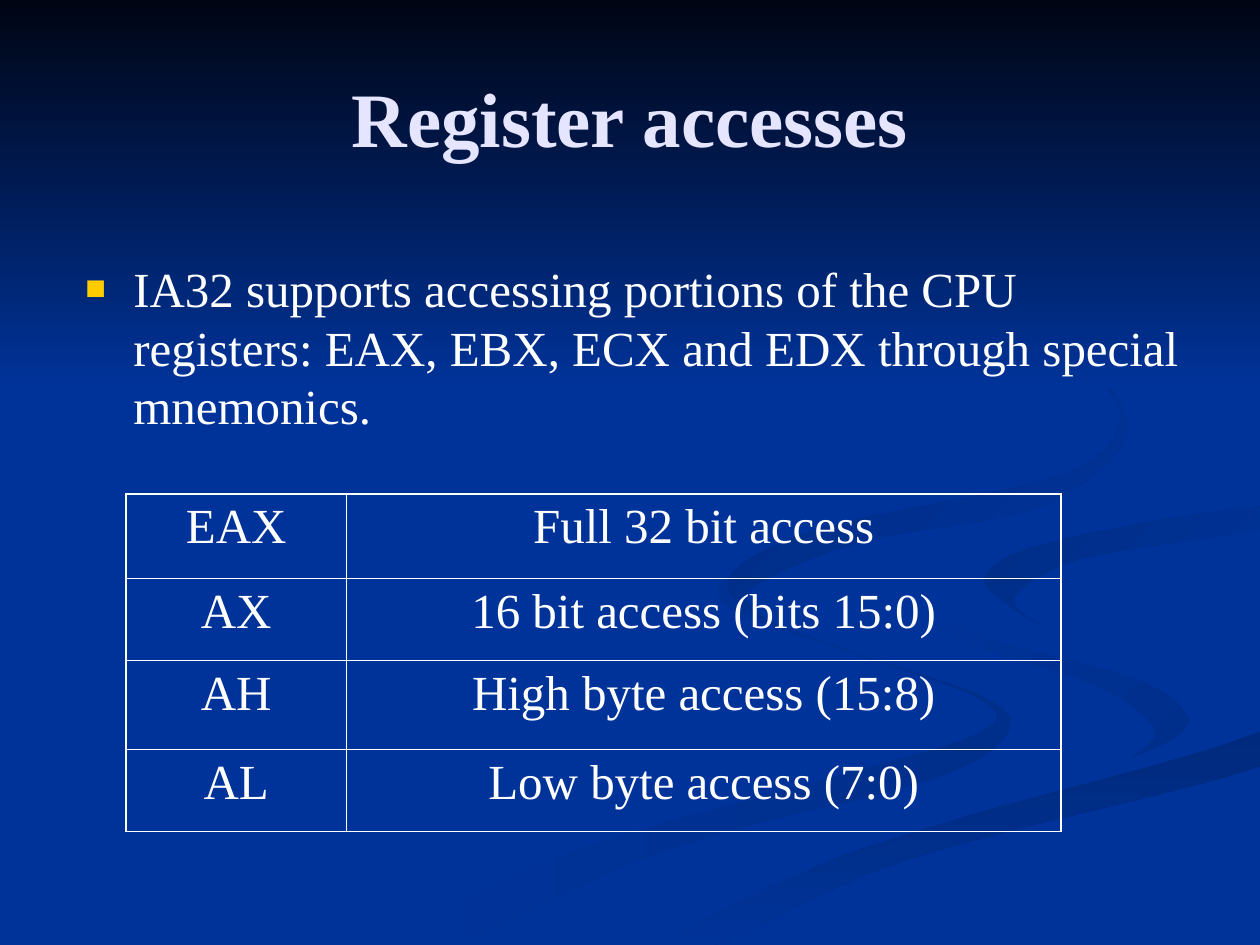
"""Builds the slide on register accesses, with its table of mnemonics."""
from lxml import etree
from pptx import Presentation, util as u
from pptx.dml.color import RGBColor
from pptx.enum import shapes, text
from pptx.oxml.ns import qn

FONT, BLUE, WHITE = "Times New Roman", "003399", "FFFFFF"
TITLE = "Register accesses"
BODY = ("IA32 supports accessing portions of the CPU registers: "
        "EAX, EBX, ECX and EDX through special mnemonics.")
ROWS = [("EAX", "Full 32 bit access"),
        ("AX", "16 bit access (bits 15:0)"),
        ("AH", "High byte access (15:8)"),
        ("AL", "Low byte access (7:0)")]
COLS, HIGHS = (1.75, 5.67), (0.67, 0.65, 0.71, 0.65)
THIN, THICK = 0.45, 1.08
STEPS = 6

RIBBONS = [
    (BLUE, "002E8B", 0, [
        (7.8, 5.53), (6.8, 5.19), (5.95, 4.85), (5.75, 4.6), (5.8, 4.83),
        (6.8, 5.19), (7.8, 5.56), (7.75, 5.83), (6.5, 6.2), (4.6, 6.74),
        (3, 7.49), (3.6, 7.49), (5.3, 6.74), (7.4, 6.18), (8, 5.81)]),
    (BLUE, "002E8B", 45, [
        (9.43, 5.7), (9.05, 5.4), (7.75, 5.03), (7.24, 4.64), (7.55, 5.05),
        (8.7, 5.44), (9.17, 5.8), (8.94, 6.05), (9.35, 5.88)]),
    ("002A7D", BLUE, 90, [
        (5.03, 7.49), (5.7, 7.49), (7.2, 6.82), (9.98, 6.09), (9.98, 5.81),
        (8, 6.38), (6.3, 6.93)]),
    (BLUE, BLUE, 0, [
        (7.25, 4.64), (7.75, 5.03), (9.05, 5.4), (9.43, 5.75), (8.7, 6.11),
        (6.6, 6.68), (4.77, 7.49), (5.2, 7.47), (6.95, 6.69), (9.99, 5.81),
        (9.99, 5.38), (8.5, 5.03), (7.81, 4.63), (8.5, 4.27), (9.99, 4.02),
        (9.99, 3.87), (8.1, 4.17)]),
    ("002D86", BLUE, 45, [
        (7.81, 4.6), (8.26, 4.96), (8.05, 4.74), (8.6, 4.43), (9.98, 4.2),
        (9.98, 4.02), (8.35, 4.3)]),
    ("002B82", BLUE, 45, [
        (6.83, 4.3), (8.25, 4.02), (8.94, 3.44), (8.55, 2.83), (7.62, 2.33),
        (8.6, 2.92), (8.89, 3.35), (8.4, 3.78), (6.5, 4.2), (5.77, 4.62),
        (6.22, 5), (5.93, 4.7)]),
]
SKY = ("000514", BLUE, 90)


def tint(hue):
    return RGBColor.from_string(hue)


def box(*nums):
    return [u.Inches(n) for n in nums]


def curve(knots):
    """Smooth closed outline that passes through every knot."""
    trace = []
    for i in range(len(knots)):
        spans = list(zip(*(knots[(i + k) % len(knots)] for k in (-1, 0, 1, 2))))
        for t in (n / STEPS for n in range(STEPS)):
            trace.append(box(*(
                b + t / 2 * (c - a + t * (2 * a - 5 * b + 4 * c - d
                                          + t * (3 * (b - c) + d - a)))
                for a, b, c, d in spans)))
    return trace


def blend(shape, start, end, angle):
    shape.shadow.inherit = False
    shape.line.fill.background()
    if start == end:
        shape.fill.solid()
        shape.fill.fore_color.rgb = tint(start)
        return
    shape.fill.gradient()
    shape.fill.gradient_angle = (360 - angle) % 360
    for stop, hue in zip(shape.fill.gradient_stops, (start, end)):
        stop.color.rgb = tint(hue)


def write(frame, words, size, hue, align, bold=False, before=0):
    para = frame.paragraphs[0]
    para.text, para.alignment = words, align
    para.space_before = u.Pt(before)
    font = para.font
    font.name, font.size, font.bold = FONT, u.Pt(size), bold
    font.color.rgb = tint(hue)
    return para


def bullet(para, mark, hue, share, indent):
    props = para._p.get_or_add_pPr()
    props.set("marL", str(u.Inches(indent)))
    props.set("indent", str(-u.Inches(indent)))
    color = etree.Element(qn("a:buClr"))
    etree.SubElement(color, qn("a:srgbClr"), val=hue)
    parts = [color,
             etree.Element(qn("a:buSzPct"), val=str(share * 1000)),
             etree.Element(qn("a:buFont"), typeface=FONT),
             etree.Element(qn("a:buChar"), char=mark)]
    spot = props.index(props.find(qn("a:spcBef"))) + 1
    props[spot:spot] = parts


def edge(side, width):
    line = etree.Element(qn("a:ln" + side), w=str(u.Pt(width)))
    fill = etree.SubElement(line, qn("a:solidFill"))
    etree.SubElement(fill, qn("a:srgbClr"), val=WHITE)
    return line


def fill_table(table):
    table.first_row = table.horz_banding = False
    for col, width in zip(table.columns, COLS):
        col.width = u.Inches(width)
    for r, (row, high, words) in enumerate(zip(table.rows, HIGHS, ROWS)):
        row.height = u.Inches(high)
        for c, (cell, word) in enumerate(zip(row.cells, words)):
            write(cell.text_frame, word, 28, WHITE, text.PP_ALIGN.CENTER, before=7)
            cell.fill.background()
            outer = {"L": c == 0, "R": c == len(COLS) - 1,
                     "T": r == 0, "B": r == len(ROWS) - 1}
            props = cell._tc.get_or_add_tcPr()
            for i, (side, rim) in enumerate(outer.items()):
                props.insert(i, edge(side, THICK if rim else THIN))


def main():
    deck = Presentation()
    deck.slide_width, deck.slide_height = box(10, 7.5)
    slide = deck.slides.add_slide(deck.slide_layouts[5])
    slide.background.fill.solid()
    slide.background.fill.fore_color.rgb = tint(BLUE)
    items = slide.shapes

    for start, end, angle, knots in RIBBONS:
        first, *rest = curve(knots)
        pen = items.build_freeform(*first)
        pen.add_line_segments(rest, close=True)
        blend(pen.convert_to_shape(), start, end, angle)
    blend(items.add_shape(shapes.MSO_SHAPE.RECTANGLE, *box(0, 0, 10, 3.08)), *SKY)

    title = items.title
    items._spTree.append(title._element)
    title.left, title.top, title.width, title.height = box(0.5, 0.3, 9, 1.25)
    frame = title.text_frame
    frame.auto_size = text.MSO_AUTO_SIZE.NONE
    frame.vertical_anchor = text.MSO_ANCHOR.MIDDLE
    write(frame, TITLE, 44, "E5E5FF", text.PP_ALIGN.CENTER, bold=True)

    frame = items.add_textbox(*box(0.58, 2, 8.92, 1.58)).text_frame
    frame.word_wrap = True
    para = write(frame, BODY, 28, WHITE, text.PP_ALIGN.LEFT, before=7)
    bullet(para, "■", "FFCC00", 70, 0.38)

    grid = items.add_table(len(ROWS), len(COLS),
                           *box(1, 3.92, sum(COLS), sum(HIGHS)))
    fill_table(grid.table)
    deck.save("out.pptx")


if __name__ == "__main__":
    main()
